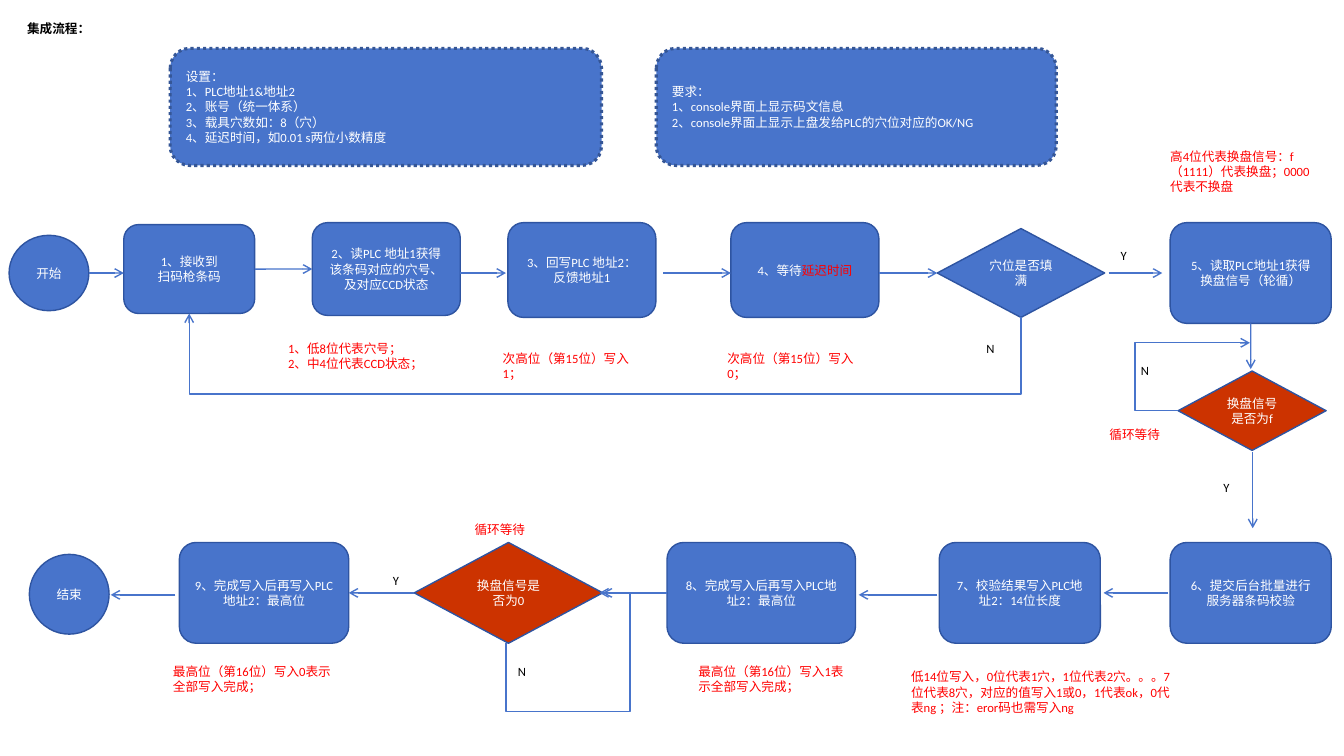
from dataclasses import dataclass

from lxml.etree import SubElement
from pptx import Presentation
from pptx.dml.color import RGBColor
from pptx.enum.dml import MSO_LINE
from pptx.enum.shapes import MSO_CONNECTOR, MSO_SHAPE
from pptx.enum.text import MSO_ANCHOR, MSO_AUTO_SIZE, PP_ALIGN
from pptx.oxml.ns import qn
from pptx.util import Cm, Pt


@dataclass(frozen=True)
class Theme:
    blue: RGBColor = RGBColor(0x48, 0x74, 0xCB)
    outline: RGBColor = RGBColor(0x2E, 0x54, 0xA1)
    panel_outline: RGBColor = RGBColor(0x35, 0x56, 0x96)
    check: RGBColor = RGBColor(0xCC, 0x33, 0x00)
    note: RGBColor = RGBColor(0xFF, 0x00, 0x00)
    white: RGBColor = RGBColor(0xFF, 0xFF, 0xFF)
    black: RGBColor = RGBColor(0x00, 0x00, 0x00)
    font: str = "Calibri"
    size: Pt = Pt(9)
    thin: Pt = Pt(1)
    thick: Pt = Pt(2.25)


THEME = Theme()
STEP = MSO_SHAPE.FLOWCHART_ALTERNATE_PROCESS
DECISION = MSO_SHAPE.FLOWCHART_DECISION
TERMINAL = MSO_SHAPE.FLOWCHART_CONNECTOR
TOP, LEFT, BOTTOM, RIGHT = range(4)


def write(frame, lines, color, align=PP_ALIGN.LEFT, anchor=MSO_ANCHOR.TOP, bold=False):
    frame.word_wrap = True
    frame.auto_size = MSO_AUTO_SIZE.NONE
    frame.vertical_anchor = anchor
    for index, line in enumerate(lines):
        paragraph = frame.add_paragraph() if index else frame.paragraphs[0]
        paragraph.alignment = align
        for words, run_color in [(line, color)] if isinstance(line, str) else line:
            run = paragraph.add_run()
            run.text = words
            run.font.name = THEME.font
            run.font.size = THEME.size
            run.font.bold = bold
            run.font.color.rgb = run_color


class Region:
    def __init__(self, slide, box):
        self.shapes = slide.shapes
        self.left, self.top, self.width, self.height = box

    def at(self, x, y):
        return Cm(self.left + x), Cm(self.top + y)

    def node(self, kind, x, y, width, height, *lines, fill=THEME.blue, align=PP_ALIGN.CENTER):
        node = self.shapes.add_shape(kind, *self.at(x, y), Cm(width), Cm(height))
        node.shadow.inherit = False
        node.fill.solid()
        node.fill.fore_color.rgb = fill
        node.line.color.rgb = THEME.outline
        node.line.width = THEME.thin
        write(node.text_frame, lines, THEME.white, align, MSO_ANCHOR.MIDDLE)
        return node

    def label(self, x, y, width, height, *lines, color=THEME.note):
        label = self.shapes.add_textbox(*self.at(x, y), Cm(width), Cm(height))
        write(label.text_frame, lines, color)

    def connector(self, kind, begin, end):
        arrow = self.shapes.add_connector(kind, *self.at(*begin), *self.at(*end))
        arrow.line.color.rgb = THEME.blue
        arrow.line.width = THEME.thin
        properties = arrow._element.spPr
        SubElement(properties.find(qn("a:ln")), qn("a:tailEnd"), type="arrow")
        SubElement(properties, qn("a:effectLst"))
        return arrow

    def arrow(self, begin, end, source=None, target=None):
        arrow = self.connector(MSO_CONNECTOR.STRAIGHT, begin, end)
        if source:
            arrow.begin_connect(*source)
        if target:
            arrow.end_connect(*target)

    def loop(self, begin, end, bends, downward=False):
        if downward:
            middle_x, middle_y = (begin[0] + end[0]) / 2, (begin[1] + end[1]) / 2
            begin, end = [
                (middle_x + y - middle_y, middle_y - x + middle_x) for x, y in (begin, end)
            ]
        loop = self.connector(MSO_CONNECTOR.ELBOW, begin, end)
        properties = loop._element.spPr
        if downward:
            properties.find(qn("a:xfrm")).set("rot", str(90 * 60000))
        geometry = properties.find(qn("a:prstGeom"))
        geometry.set("prst", f"bentConnector{len(bends) + 2}")
        guides = geometry.find(qn("a:avLst"))
        for number, bend in enumerate(bends, 1):
            SubElement(guides, qn("a:gd"), name=f"adj{number}", fmla=f"val {round(bend * 100000)}")


def add_heading(slide, box):
    heading = slide.shapes.title
    heading.left, heading.top, heading.width, heading.height = map(Cm, box)
    write(heading.text_frame, ["集成流程："], THEME.black, bold=True)


def add_panel(slide, box, lines):
    region = Region(slide, box)
    panel = region.node(STEP, 0, 0, region.width, region.height, *lines, align=PP_ALIGN.LEFT)
    panel.line.color.rgb = THEME.panel_outline
    panel.line.width = THEME.thick
    panel.line.dash_style = MSO_LINE.ROUND_DOT


def add_filling_row(slide, box):
    row = Region(slide, box)
    axis = 3.25
    row.node(TERMINAL, 0.23, 2.3, 2.01, 1.9, "开始")
    scan = row.node(STEP, 3.12, 2.03, 3.3, 2.24, "1、接收到", "扫码枪条码")
    read = row.node(STEP, 7.87, 1.98, 3.73, 2.34, "2、读PLC 地址1获得该条码对应的穴号、及对应CCD状态")
    row.node(STEP, 12.8, 1.98, 3.73, 2.39, "3、回写PLC 地址2：", "反馈地址1")
    row.node(STEP, 18.42, 1.98, 3.73, 2.39, [("4、等待", THEME.white), ("延迟时间", THEME.note)])
    full = row.node(DECISION, 23.62, 2.13, 4.22, 2.24, "穴位是否填满")
    signal = row.node(STEP, 29.49, 1.98, 4.06, 2.54, "5、读取PLC地址1获得换盘信号（轮循）")
    for begin, end in [(2.24, 3.12), (11.6, 12.75), (16.71, 18.42), (27.94, 29.29)]:
        row.arrow((begin, axis), (end, axis))
    row.arrow((6.42, 3.15), (7.87, 3.15), (scan, RIGHT), (read, LEFT))
    row.arrow((22.15, axis), (23.62, axis), target=(full, LEFT))
    row.loop((25.73, 4.37), (4.77, 4.27), [(6.3 - 4.37) / (4.27 - 4.37)], downward=True)
    row.label(27.99, 2.49, 1.12, 0.28, "Y", color=THEME.black)
    row.label(24.61, 4.83, 1.12, 1.02, "N", color=THEME.black)
    row.label(7.01, 4.83, 4.06, 1.02, "1、低8位代表穴号；", "2、中4位代表CCD状态；")
    for x, bit in [(12.42, 1), (18.08, 0)]:
        row.label(x, 5.08, 4.06, 0.64, f"次高位（第15位）写入{bit}；")
    row.label(29.24, 0, 4.32, 1.4, "高4位代表换盘信号：f（1111）代表换盘；0000代表不换盘")
    return signal


def add_signal_check(slide, box, signal):
    check = Region(slide, box)
    check.node(DECISION, 1.98, 1.2, 3.73, 2, "换盘信号是否为f", fill=THEME.check)
    check.arrow((3.81, 0), (3.81, 1.15), source=(signal, BOTTOM))
    check.arrow((3.86, 3.25), (3.86, 5.16))
    check.loop((1.98, 2.2), (3.79, 0.49), [(0.89 - 1.98) / (3.79 - 1.98)])
    check.label(2.87, 3.81, 1.63, 1.07, "Y", color=THEME.black)
    check.label(0.79, 0.87, 1.35, 0.97, "N", color=THEME.black)
    check.label(0, 2.49, 2.01, 0.97, "循环等待")


def add_result_row(slide, box):
    row = Region(slide, box)
    axis, top, height = 1.91, 0.64, 2.54
    row.node(STEP, 29.49, top, 4.06, height, "6、提交后台批量进行服务器条码校验")
    row.node(STEP, 23.67, top, 4.06, height, "7、校验结果写入PLC地址2：14位长度")
    written = row.node(STEP, 16.81, top, 4.75, height, "8、完成写入后再写入PLC地址2：最高位")
    cleared = row.node(DECISION, 10.44, top, 4.75, height, "换盘信号是否为0", fill=THEME.check)
    finished = row.node(STEP, 4.52, top, 4.27, height, "9、完成写入后再写入PLC地址2：最高位")
    row.node(TERMINAL, 0.74, 0.94, 2.01, 2.01, "结束")
    for begin, end, y in [(29.44, 27.81, axis), (23.62, 21.64, 1.96), (4.42, 2.79, 1.96)]:
        row.arrow((begin, y), (end, y))
    row.arrow((16.81, axis), (15.19, axis), (written, LEFT), (cleared, RIGHT))
    row.arrow((10.44, axis), (8.79, axis), (cleared, LEFT), (finished, RIGHT))
    bends = [(4.9 - 3.18) / (axis - 3.18), (15.88 - 12.75) / (15.11 - 12.75)]
    row.loop((12.75, 3.18), (15.11, axis), bends, downward=True)
    row.label(9.65, 1.27, 0.76, 0.64, "Y", color=THEME.black)
    row.label(12.8, 3.58, 1.12, 0.64, "N", color=THEME.black)
    row.label(11.71, 0, 2.01, 0.64, "循环等待")
    for x, width, bit in [(17.35, 4.22, 1), (4.11, 4.75, 0)]:
        row.label(x, 3.58, width, 1.4, f"最高位（第16位）写入{bit}表示全部写入完成；")
    row.label(
        22.71, 3.71, 7.14, 1.68,
        "低14位写入，0位代表1穴，1位代表2穴。。。7位代表8穴，对应的值写入1或0，"
        "1代表ok，0代表ng ；注：eror码也需写入ng",
    )


def main():
    presentation = Presentation()
    presentation.slide_width, presentation.slide_height = Cm(33.87), Cm(19.05)
    slide = presentation.slides.add_slide(presentation.slide_layouts[5])
    add_heading(slide, (0.43, 0.41, 11.28, 0.64))
    add_panel(slide, (4.29, 1.22, 10.87, 2.95), [
        "设置：",
        "1、PLC地址1&地址2",
        "2、账号（统一体系）",
        "3、载具穴数如：8（穴）",
        "4、延迟时间，如0.01 s两位小数精度",
    ])
    add_panel(slide, (16.54, 1.22, 10.08, 2.95), [
        "要求：",
        "1、console界面上显示码文信息",
        "2、console界面上显示上盘发给PLC的穴位对应的OK/NG",
    ])
    signal = add_filling_row(slide, (0, 3.63, 33.87, 6.3))
    add_signal_check(slide, (27.71, 8.15, 5.84, 5.16), signal)
    add_result_row(slide, (0, 13.03, 33.87, 5.39))
    presentation.save("out.pptx")


if __name__ == "__main__":
    main()
